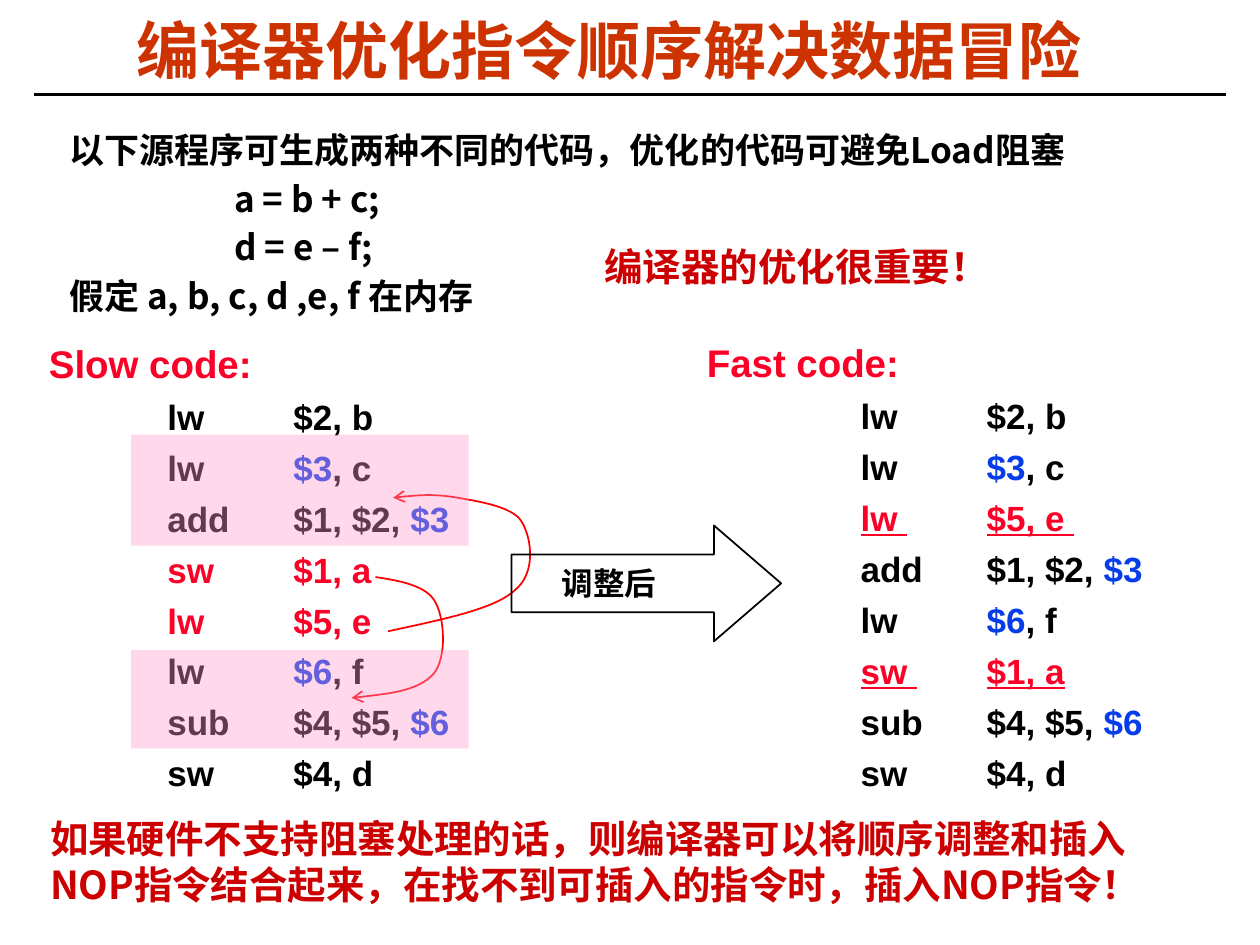
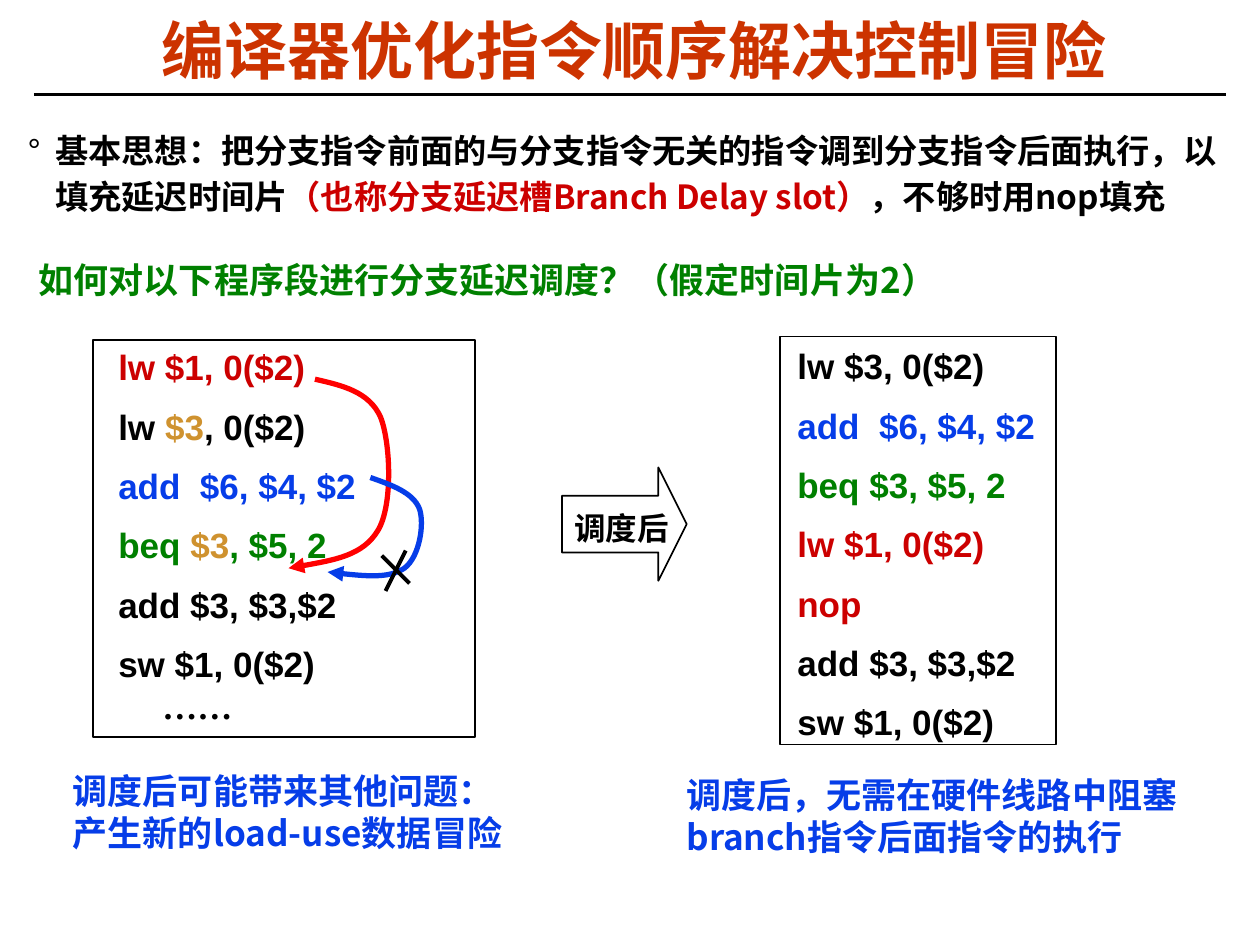
from dataclasses import dataclass
from typing import Any, NamedTuple

from lxml import etree
from pptx import Presentation
from pptx.dml.color import RGBColor
from pptx.enum.shapes import MSO_CONNECTOR, MSO_SHAPE
from pptx.enum.text import MSO_AUTO_SIZE, PP_ALIGN
from pptx.oxml.ns import qn
from pptx.util import Inches, Pt


# Theme
@dataclass(frozen=True)
class Theme:
    black: str = "000000"
    title: str = "CC3300"
    crimson: str = "CC0000"
    scarlet: str = "FC0128"
    red: str = "FF0000"
    blue: str = "063DE8"
    green: str = "008000"
    ochre: str = "CF922F"
    pink: str = "FF99CC"
    title_size: float = 36
    heading_size: float = 22
    body_size: float = 20
    idea_size: float = 19
    label_size: float = 18
    latin: str = "Arial"
    serif: str = "Times New Roman"
    chinese: str = "Noto Sans CJK SC"


THEME = Theme()


# Repeated elements
class Span(NamedTuple):
    text: str
    color: str = THEME.black
    underline: bool = False


class Para(NamedTuple):
    spans: list[Span]
    size: float = THEME.body_size
    font: str = THEME.latin
    before: float = 0
    spacing: float = 1.0
    indent: float = 0
    tabs: tuple[float, ...] = ()
    bullet: str = ""
    align: Any = None


class Box(NamedTuple):
    left: float
    top: float
    width: float
    height: float


class Curve(NamedTuple):
    points: list[tuple[float, float]]  # start, then three points per Bézier piece
    color: str
    weight: float
    head: str


class Stroke(NamedTuple):
    start: tuple[float, float]
    end: tuple[float, float]
    weight: float


WIDE_INSETS = (0.1, 0.05)
TIGHT_INSETS = (0.07, 0.03)
CODE_GAP = 5.1


def apply(target: Any, values: dict[str, Any]) -> None:
    for name, value in values.items():
        setattr(target, name, value)


def rgb(color: str) -> RGBColor:
    return RGBColor.from_string(color)


def lengths(box: Box) -> list[int]:
    return [Inches(value) for value in box]


# Text
def format_para(paragraph: Any, para: Para, first: bool) -> None:
    apply(paragraph, {
        "alignment": para.align,
        "line_spacing": para.spacing,
        "space_before": Pt(0 if first else para.before),
    })
    properties = paragraph._p.get_or_add_pPr()
    if para.indent:
        properties.set("marL", str(Inches(para.indent)))
    if para.bullet:
        properties.set("indent", str(-Inches(para.indent)))
        etree.SubElement(properties, qn("a:buFont"), typeface=THEME.latin)
        etree.SubElement(properties, qn("a:buChar"), char=para.bullet)
    if para.tabs:
        stops = etree.SubElement(properties, qn("a:tabLst"))
        for stop in para.tabs:
            etree.SubElement(stops, qn("a:tab"), pos=str(Inches(stop)), algn="l")
    for span in para.spans:
        run = paragraph.add_run()
        run.text = span.text
        apply(run.font, {"size": Pt(para.size), "name": para.font, "bold": True,
                         "underline": span.underline or None})
        run.font.color.rgb = rgb(span.color)
        east_asian = etree.Element(qn("a:ea"), typeface=THEME.chinese)
        run.font._element.find(qn("a:latin")).addnext(east_asian)


def add_text(slide: Any, box: Box, paras: list[Para],
             insets: tuple[float, float] = WIDE_INSETS) -> None:
    frame = slide.shapes.add_textbox(*lengths(box)).text_frame
    across, down = (Inches(inset) for inset in insets)
    apply(frame, {"word_wrap": True, "auto_size": MSO_AUTO_SIZE.SHAPE_TO_FIT_TEXT,
                  "margin_left": across, "margin_right": across,
                  "margin_top": down, "margin_bottom": down})
    for index, para in enumerate(paras):
        paragraph = frame.add_paragraph() if index else frame.paragraphs[0]
        format_para(paragraph, para, index == 0)


def add_note(slide: Any, box: Box, text: str, color: str,
             size: float = THEME.body_size, font: str = THEME.chinese) -> None:
    add_text(slide, box, [Para([Span(text, color)], size, font)])


# Shapes and lines
def add_outline(slide: Any, kind: Any, box: Box, adjustments: tuple[float, ...] = ()) -> None:
    shape = slide.shapes.add_shape(kind, *lengths(box))
    shape.shadow.inherit = False
    shape.fill.background()
    shape.line.color.rgb = rgb(THEME.black)
    shape.line.width = Pt(1)
    for index, value in enumerate(adjustments):
        shape.adjustments[index] = value


def add_highlight(slide: Any, box: Box) -> None:
    band = slide.shapes.add_shape(MSO_SHAPE.RECTANGLE, *lengths(box))
    band.shadow.inherit = False
    band.fill.solid()
    band.fill.fore_color.rgb = rgb(THEME.pink)
    band.line.fill.background()
    tint = band._element.spPr.find(qn("a:solidFill"))[0]
    etree.SubElement(tint, qn("a:alpha"), val="38000")


def add_stroke(slide: Any, stroke: Stroke) -> None:
    ends = [Inches(value) for value in (*stroke.start, *stroke.end)]
    line = slide.shapes.add_connector(MSO_CONNECTOR.STRAIGHT, *ends)
    line.line.color.rgb = rgb(THEME.black)
    line.line.width = Pt(stroke.weight)
    etree.SubElement(line._element.spPr, qn("a:effectLst"))


def add_curve(slide: Any, curve: Curve) -> None:
    start, *rest = [(Inches(x), Inches(y)) for x, y in curve.points]
    builder = slide.shapes.build_freeform(*start)
    builder.add_line_segments(rest, close=False)
    shape = builder.convert_to_shape()
    shape.shadow.inherit = False
    shape.fill.background()
    shape.line.color.rgb = rgb(curve.color)
    shape.line.width = Pt(curve.weight)
    # Each three straight steps become one Bézier piece
    steps = list(shape._element.iter(qn("a:lnTo")))
    for index in range(0, len(steps), 3):
        bezier = etree.Element(qn("a:cubicBezTo"))
        steps[index].addprevious(bezier)
        for step in steps[index:index + 3]:
            bezier.append(step[0])
            step.getparent().remove(step)
    etree.SubElement(shape.line._get_or_add_ln(), qn("a:tailEnd"), type=curve.head)


def add_titled_slide(deck: Any, title: str, box: Box) -> Any:
    slide = deck.slides.add_slide(deck.slide_layouts[6])
    add_stroke(slide, Stroke((0.27, 0.75), (9.73, 0.75), 1.5))
    add_text(slide, box, [Para([Span(title, THEME.title)], THEME.title_size,
                               spacing=0.87, align=PP_ALIGN.CENTER)], TIGHT_INSETS)
    return slide


# Code listings
def assembly(rows: list[list[Span]], tabs: tuple[float, ...]) -> list[Para]:
    return [Para(row, before=CODE_GAP, tabs=tabs) for row in rows]


def spaced_code(rows: list[list[Span]]) -> list[Para]:
    return [Para(row, before=CODE_GAP, spacing=1.2) for row in rows]


def build_data_hazard(deck: Any) -> None:
    slide = add_titled_slide(deck, "编译器优化指令顺序解决数据冒险", Box(0.73, 0.14, 8.2, 0.58))
    source = ["以下源程序可生成两种不同的代码，优化的代码可避免Load阻塞",
              "\ta = b + c;", "\td = e – f;", "假定 a, b, c, d ,e, f 在内存"]
    add_text(slide, Box(0.45, 1.01, 8.73, 1.6),
             [Para([Span(line)], font=THEME.chinese, before=6.1, spacing=0.9, tabs=(1.31,))
              for line in source])

    # Rows common to both orders
    load_b = [Span("\tlw\t$2, b")]
    load_c = [Span("\tlw\t"), Span("$3", THEME.blue), Span(", c")]
    add_bc = [Span("\tadd\t$1, $2, "), Span("$3", THEME.blue)]
    load_f = [Span("\tlw\t"), Span("$6", THEME.blue), Span(", f")]
    sub_ef = [Span("\tsub\t$4, $5, "), Span("$6", THEME.blue)]
    store_d = [Span("\tsw\t$4, d")]
    store_a, load_e = ([Span(row, THEME.scarlet)] for row in ("\tsw\t$1, a", "\tlw\t$5, e"))
    moved_e, moved_a = ([Span("\t"), Span(row, THEME.scarlet, True)]
                        for row in ("lw \t$5, e ", "sw \t$1, a"))

    fast = [load_b, load_c, moved_e, add_bc, load_f, moved_a, sub_ef, store_d]
    add_text(slide, Box(5.54, 2.7, 3.92, 3.62),
             [Para([Span("Fast code:", THEME.scarlet)], THEME.heading_size, spacing=0.9),
              *assembly(fast, (1.22, 2.22))], TIGHT_INSETS)
    moves = [
        [(3.08, 5.01), (3.49, 4.92), (3.91, 4.84), (4.08, 4.69), (4.26, 4.55), (4.22, 4.27),
         (4.14, 4.14), (4.07, 4.02), (3.8, 3.98), (3.63, 3.95), (3.46, 3.92), (3.29, 3.93),
         (3.12, 3.95)],
        [(2.98, 4.58), (3.18, 4.61), (3.38, 4.65), (3.45, 4.77), (3.53, 4.9), (3.55, 5.22),
         (3.44, 5.35), (3.32, 5.48), (3.06, 5.51), (2.79, 5.54)],
    ]
    for points in moves:
        add_curve(slide, Curve(points, THEME.red, 1, "arrow"))
    slow = [load_b, load_c, add_bc, store_a, load_e, load_f, sub_ef, store_d]
    add_text(slide, Box(0.23, 2.65, 4.49, 3.7),
             [Para([Span("Slow code:", THEME.scarlet)], THEME.heading_size, indent=0.06),
              *assembly(slow, (1, 2))])

    add_outline(slide, MSO_SHAPE.RIGHT_ARROW, Box(4.06, 4.17, 2.14, 0.92), (0.5, 0.58))
    add_note(slide, Box(4.36, 4.43, 1.11, 0.4), "调整后", THEME.black,
             THEME.label_size, THEME.serif)
    add_note(slide, Box(4.7, 1.88, 4.03, 0.47), "编译器的优化很重要！", THEME.crimson,
             THEME.heading_size, THEME.latin)
    for top, height in ((3.45, 0.88), (5.16, 0.78)):
        add_highlight(slide, Box(1.04, top, 2.68, height))
    add_note(slide, Box(0.3, 6.42, 9.14, 0.83),
             "如果硬件不支持阻塞处理的话，则编译器可以将顺序调整和插入NOP指令结合起来，"
             "在找不到可插入的指令时，插入NOP指令！", THEME.crimson, THEME.heading_size)


def build_control_hazard(deck: Any) -> None:
    slide = add_titled_slide(deck, "编译器优化指令顺序解决控制冒险", Box(0.91, 0.14, 8.25, 0.58))
    idea = [Span("基本思想：把分支指令前面的与分支指令无关的指令调到分支指令后面执行，以填充延迟时间片"),
            Span("（也称分支延迟槽Branch Delay slot）", THEME.crimson),
            Span("，不够时用nop填充")]
    add_text(slide, Box(0.15, 0.96, 9.65, 0.78),
             [Para(idea, THEME.idea_size, THEME.chinese, spacing=1.15, indent=0.22, bullet="°")],
             TIGHT_INSETS)
    add_note(slide, Box(0.21, 2, 8.96, 0.44),
             "如何对以下程序段进行分支延迟调度？（假定时间片为2）", THEME.green)
    add_note(slide, Box(5.35, 6.09, 4.46, 0.77),
             "调度后，无需在硬件线路中阻塞branch指令后面指令的执行", THEME.blue)

    # Code before scheduling
    load_1 = [Span("lw $1, 0($2)", THEME.crimson)]
    add_6 = [Span("add  $6, $4, $2", THEME.blue)]
    ending = [[Span("add $3, $3,$2")], [Span("sw $1, 0($2)")]]
    register_3 = Span("$3", THEME.ochre)
    before = [load_1, [Span("lw "), register_3, Span(", 0($2)")], add_6,
              [Span("beq ", THEME.green), register_3, Span(", $5, 2", THEME.green)], *ending]
    add_text(slide, Box(0.84, 2.63, 2.18, 3.66),
             [*spaced_code(before), Para([Span("……")], font=THEME.serif, indent=0.35)])
    add_outline(slide, MSO_SHAPE.RECTANGLE, Box(0.74, 2.7, 3.03, 3.15))
    add_note(slide, Box(0.48, 6.06, 3.74, 0.77),
             "调度后可能带来其他问题：产生新的load-use数据冒险", THEME.blue)

    # Moves into the delay slots, one of them crossed out
    add_curve(slide, Curve(
        [(2.5, 3.01), (2.72, 3.06), (2.93, 3.11), (3.02, 3.31), (3.1, 3.51), (3.12, 4.01),
         (3, 4.21), (2.88, 4.41), (2.58, 4.46), (2.29, 4.51)], THEME.red, 3, "triangle"))
    add_curve(slide, Curve(
        [(2.94, 3.79), (3.11, 3.85), (3.28, 3.91), (3.33, 4.04), (3.37, 4.16), (3.33, 4.42),
         (3.21, 4.51), (3.09, 4.59), (2.85, 4.57), (2.6, 4.54)], THEME.blue, 3, "triangle"))
    for start, end in (((3.22, 4.37), (3.06, 4.69)), ((3.03, 4.41), (3.25, 4.63))):
        add_stroke(slide, Stroke(start, end, 2.25))
    add_outline(slide, MSO_SHAPE.RIGHT_ARROW, Box(4.46, 3.71, 0.99, 0.9), (0.5, 0.25))
    add_note(slide, Box(4.46, 3.99, 1.1, 0.4), "调度后", THEME.black,
             THEME.label_size, THEME.serif)

    # Code after scheduling
    after = [[Span("lw $3, 0($2)")], add_6, [Span("beq $3, $5, 2", THEME.green)], load_1,
             [Span("nop", THEME.crimson)], *ending]
    add_text(slide, Box(6.23, 2.62, 2.32, 3.29), spaced_code(after))
    add_outline(slide, MSO_SHAPE.RECTANGLE, Box(6.19, 2.67, 2.19, 3.24))


def main() -> None:
    deck = Presentation()
    apply(deck, {"slide_width": Inches(10), "slide_height": Inches(7.5)})
    build_data_hazard(deck)
    build_control_hazard(deck)
    deck.save("out.pptx")


if __name__ == "__main__":
    main()
